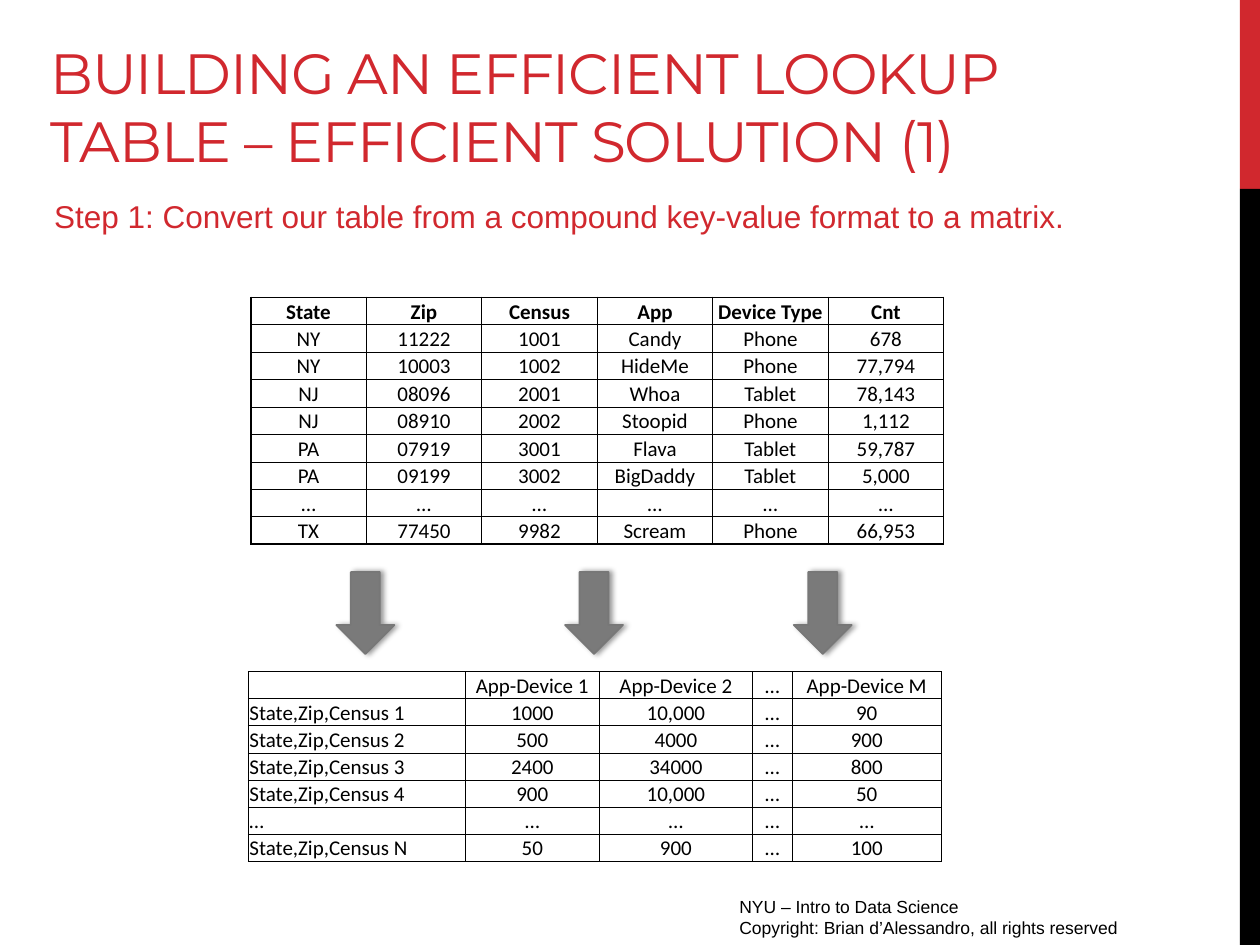
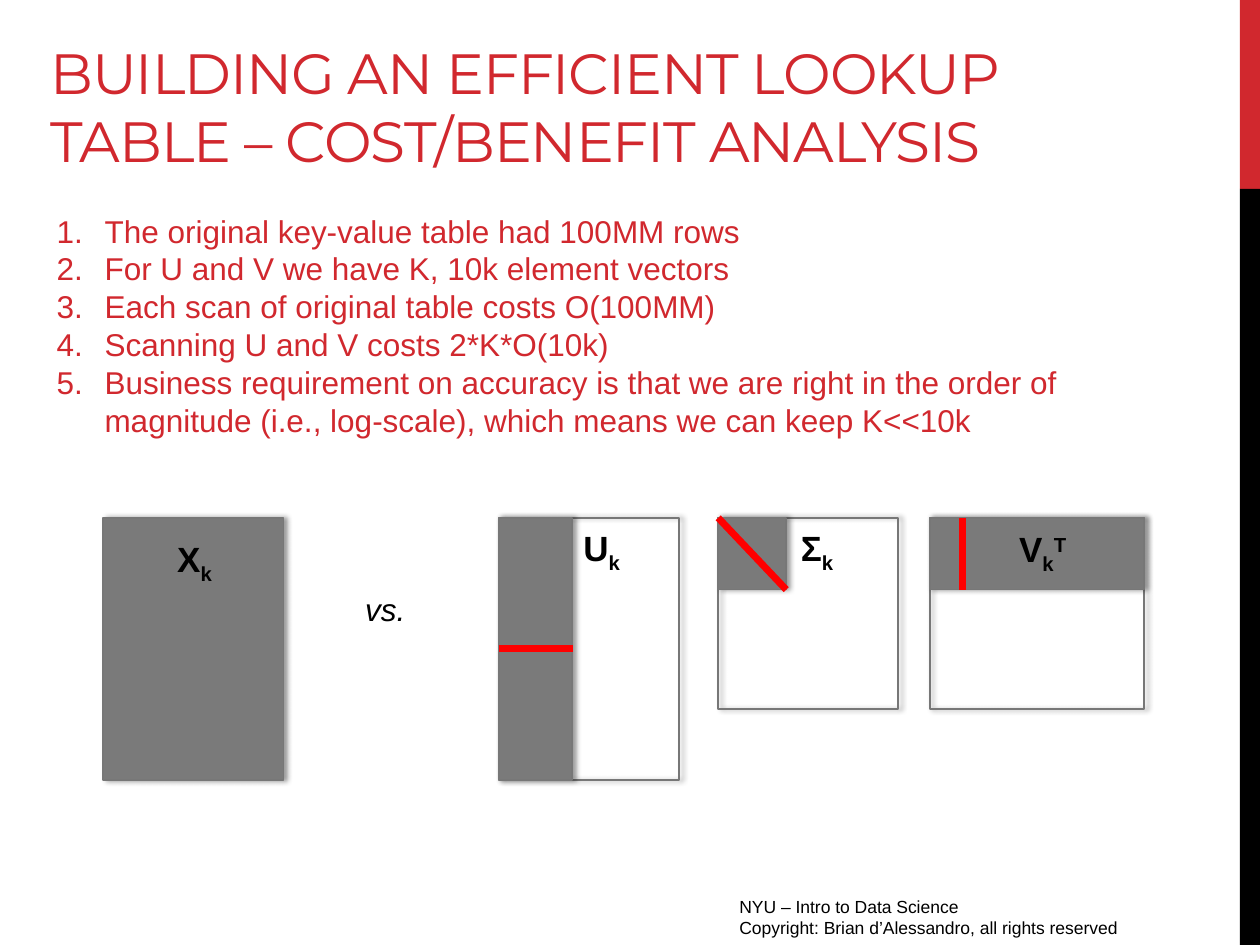
from lxml.etree import SubElement
from pptx import Presentation
from pptx.dml.color import RGBColor
from pptx.enum.shapes import MSO_CONNECTOR, MSO_SHAPE
from pptx.enum.text import MSO_ANCHOR, MSO_AUTO_SIZE, PP_ALIGN
from pptx.oxml.ns import qn
from pptx.util import Emu, Inches, Pt

COLORS = {"red": "D1282E", "black": "000000", "gray": "7A7A7A",
          "edge": "777777", "mark": "FF0000"}
CELL = Inches(0.1)
COLUMNS, ROWS = 100, 75
BAND_LEFT = 98.4
FOOTER = ["NYU – Intro to Data Science",
          "Copyright: Brian d’Alessandro, all rights reserved"]

COUNTS = [
    ["State", "Zip", "Census", "App", "Device Type", "Cnt"],
    ["NY", "11222", "1001", "Candy", "Phone", "678"],
    ["NY", "10003", "1002", "HideMe", "Phone", "77,794"],
    ["NJ", "08096", "2001", "Whoa", "Tablet", "78,143"],
    ["NJ", "08910", "2002", "Stoopid", "Phone", "1,112"],
    ["PA", "07919", "3001", "Flava", "Tablet", "59,787"],
    ["PA", "09199", "3002", "BigDaddy", "Tablet", "5,000"],
    ["…"] * 6,
    ["TX", "77450", "9982", "Scream", "Phone", "66,953"],
]
MATRIX = [
    ["", "App-Device 1", "App-Device 2", "…", "App-Device M"],
    ["State,Zip,Census 1", "1000", "10,000", "…", "90"],
    ["State,Zip,Census 2", "500", "4000", "…", "900"],
    ["State,Zip,Census 3", "2400", "34000", "…", "800"],
    ["State,Zip,Census 4", "900", "10,000", "…", "50"],
    ["…"] * 5,
    ["State,Zip,Census N", "50", "900", "…", "100"],
]
FINDINGS = [
    "The original key-value table had 100MM rows",
    "For U and V we have K, 10k element vectors",
    "Each scan of original table costs O(100MM)",
    "Scanning U and V costs 2*K*O(10k)",
    "Business requirement on accuracy is that we are right in the order of "
    "magnitude (i.e., log-scale), which means we can keep K<<10k",
]


def grid(*cells):
    """Turn grid columns and rows into lengths."""
    return [Emu(round(n * CELL)) for n in cells]


def rgb(name):
    """Look up a named colour."""
    return RGBColor.from_string(COLORS[name])


def write(tf, paragraphs, size=18, font="Arial", color="black", bold=False,
          italic=False, align=PP_ALIGN.LEFT, anchor=MSO_ANCHOR.TOP,
          spacing=None, bullet=None, indent=0):
    """Fill a text frame; a paragraph is a string or (text, baseline) pairs."""
    tf.word_wrap = True
    tf.vertical_anchor = anchor
    for i, content in enumerate(paragraphs):
        p = tf.paragraphs[0] if i == 0 else tf.add_paragraph()
        p.alignment = align
        p.space_before = Pt(0)
        if bullet:
            pPr = p._p.get_or_add_pPr()
            pPr.set("marL", str(Inches(indent)))
            pPr.set("indent", str(-Inches(indent)))
            kind = {"type": "arabicPeriod"} if bullet == "buAutoNum" else {}
            SubElement(pPr, qn(f"a:{bullet}"), kind)
        if not content:
            SubElement(p._p, qn("a:endParaRPr"), sz=str(size * 100))
            continue
        runs = [(content, 0)] if isinstance(content, str) else content
        for text, baseline in runs:
            r = p.add_run()
            r.text = text
            r.font.size, r.font.name = Pt(size), font
            r.font.bold, r.font.italic = bold, italic
            r.font.color.rgb = rgb(color)
            if baseline:
                r.font._element.set("baseline", str(baseline * 1000))
            if spacing:
                r.font._element.set("spc", str(spacing))


def add_text(s, box, paragraphs, **fmt):
    """Add a text box."""
    write(s.shapes.add_textbox(*grid(*box)).text_frame, paragraphs, **fmt)


def fill_placeholder(ph, box, paragraphs, **fmt):
    """Move a placeholder and write its text."""
    ph.left, ph.top, ph.width, ph.height = grid(*box)
    write(ph.text_frame, paragraphs, **fmt)
    ph.text_frame.auto_size = MSO_AUTO_SIZE.NONE


def add_shadow(sp):
    """Give a shape a soft shadow to its right."""
    effects = SubElement(sp._element.spPr, qn("a:effectLst"))
    shadow = SubElement(effects, qn("a:outerShdw"), blurRad=str(Pt(3.1)),
                        dist=str(Pt(1.8)), dir="0", rotWithShape="0")
    color = SubElement(shadow, qn("a:srgbClr"), val=COLORS["black"])
    SubElement(color, qn("a:alpha"), val="40000")


def add_block(s, box, fill="gray", shape=MSO_SHAPE.RECTANGLE, edge="edge"):
    """Add a shape; an edged one also has a shadow."""
    sp = s.shapes.add_shape(shape, *grid(*box))
    if fill:
        sp.fill.solid()
        sp.fill.fore_color.rgb = rgb(fill)
    else:
        sp.fill.background()
    if edge:
        sp.line.color.rgb = rgb(edge)
        sp.line.width = Pt(1)
        add_shadow(sp)
    else:
        sp.line.fill.background()
        sp.shadow.inherit = False


def add_mark(s, x1, y1, x2, y2):
    """Add a thick red line."""
    line = s.shapes.add_connector(MSO_CONNECTOR.STRAIGHT,
                                  *grid(x1, y1, x2, y2))
    line.line.color.rgb = rgb("mark")
    line.line.width = Pt(4)
    SubElement(line._element.spPr, qn("a:effectLst"))


def add_symbol(s, x, y, letter, *scripts):
    """Add a matrix name with its subscript and superscript."""
    add_text(s, (x, y, 8.7, 4.4), [[(letter, 0), ("k", -25), *scripts]],
             size=20, bold=True, align=PP_ALIGN.CENTER)


def set_borders(cell, widths):
    """Draw the left, right, top and bottom borders of a cell."""
    tcPr = cell._tc.get_or_add_tcPr()
    for side, width in zip("LRTB", widths):
        ln = SubElement(tcPr, qn(f"a:ln{side}"), w=str(Pt(width)))
        fill = SubElement(ln, qn("a:solidFill"))
        SubElement(fill, qn("a:srgbClr"), val=COLORS["black"])


def add_grid_table(s, box, data, columns, outer=0.5, bold_head=False,
                   left_names=False):
    """Add a ruled table with the given column widths."""
    last_row, last_col = len(data) - 1, len(columns) - 1
    table = s.shapes.add_table(len(data), len(columns), *grid(*box)).table
    table.first_row = table.horz_banding = False
    for column, width in zip(table.columns, grid(*columns)):
        column.width = width
    for i, row in enumerate(data):
        for j, text in enumerate(row):
            cell = table.cell(i, j)
            cell.margin_left = cell.margin_right = Inches(0.01)
            cell.margin_top, cell.margin_bottom = Inches(0.01), 0
            edges = (j == 0, j == last_col, i == 0, i == last_row)
            set_borders(cell, [outer if edge else 0.5 for edge in edges])
            cell.fill.background()
            named = left_names and j == 0
            write(cell.text_frame, [text], size=12, font="Calibri",
                  bold=bold_head and i == 0,
                  align=PP_ALIGN.LEFT if named else PP_ALIGN.CENTER)
            cell.vertical_anchor = MSO_ANCHOR.BOTTOM


def add_slide(prs, title, body_box, body, **fmt):
    """Add a slide with side bands, footer, title and body."""
    s = prs.slides.add_slide(prs.slide_layouts[1])
    width, split = COLUMNS - BAND_LEFT, ROWS / 5
    add_block(s, (BAND_LEFT, 0, width, split), "red", edge=None)
    add_block(s, (BAND_LEFT, split, width, ROWS - split), "black", edge=None)
    add_text(s, (57.7, 70.6, 37.5, 3.1), FOOTER, size=10)
    fill_placeholder(s.shapes.title, (3, 6.5, 87.1, 7.8), [title], size=32.4,
                     font="Montserrat", color="red", spacing=-60,
                     anchor=MSO_ANCHOR.BOTTOM)
    fill_placeholder(s.placeholders[1], body_box, body, color="red", **fmt)
    return s


def build_conversion(prs):
    """Build the slide that turns the key-value table into a matrix."""
    s = add_slide(
        prs, "BUILDING AN EFFICIENT LOOKUP TABLE – EFFICIENT SOLUTION (1)",
        (3.3, 15.1, 91.1, 4),
        ["Step 1: Convert our table from a compound key-value format "
         "to a matrix."], bullet="buNone")
    add_grid_table(s, (19.9, 23.6, 55, 19.6), COUNTS, [55 / 6] * 6,
                   outer=1, bold_head=True)
    add_grid_table(s, (19.7, 53.3, 55, 15.1), MATRIX,
                   [17.2, 10.7, 12.1, 3.2, 11.8], left_names=True)
    for i in range(3):
        add_block(s, (26.7 + 18.15 * i, 45.4, 4.6, 6.5),
                  shape=MSO_SHAPE.DOWN_ARROW)


def build_analysis(prs):
    """Build the slide that weighs the full matrix against its factors."""
    s = add_slide(
        prs, "BUILDING AN EFFICIENT LOOKUP TABLE – COST/BENEFIT ANALYSIS",
        (3.5, 16.3, 83.5, 19.2), FINDINGS, bullet="buAutoNum", indent=0.38)
    top, tall, short, kept = 41.1, 20.8, 15.2, 5.7
    x, u, sigma, v = 8.2, 39.6, 57, 73.8
    for left, width, height in ((u, 14.3, tall), (sigma, 14.3, short),
                                (v, 17, short)):
        add_block(s, (left, top, width, height), fill=None)
    for left, width, height in ((x, 14.3, tall), (u, 5.8, tall),
                                (sigma, 5.4, kept), (v, 17, kept)):
        add_block(s, (left, top, width, height))
    add_symbol(s, 11.1, 42.2, "X")
    add_symbol(s, 43.4, 41.3, "U")
    add_symbol(s, 60.5, 41.3, "Σ")
    add_symbol(s, 78.4, 41.4, "V", ("T", 30))
    add_mark(s, u, top + tall / 2, u + 5.9, top + tall / 2)
    add_mark(s, v + 2.6, top, v + 2.6, top + kept)
    add_mark(s, sigma, top, sigma + 5.4, top + kept)
    add_text(s, (28, 46.3, 7, 4), ["vs."], italic=True)


def main():
    """Build and save the presentation."""
    prs = Presentation()
    prs.slide_width, prs.slide_height = grid(COLUMNS, ROWS)
    build_conversion(prs)
    build_analysis(prs)
    prs.save("out.pptx")


if __name__ == "__main__":
    main()
